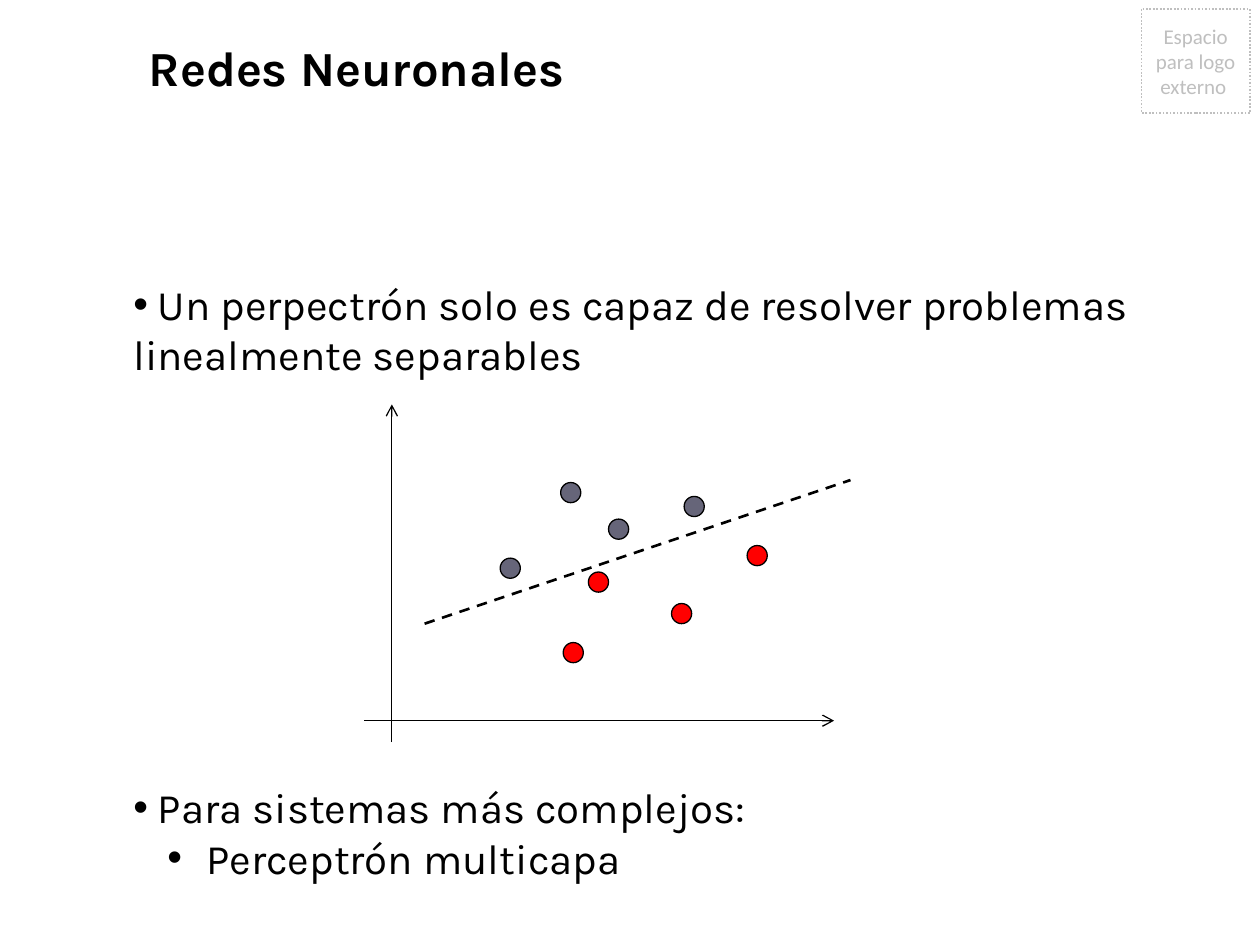
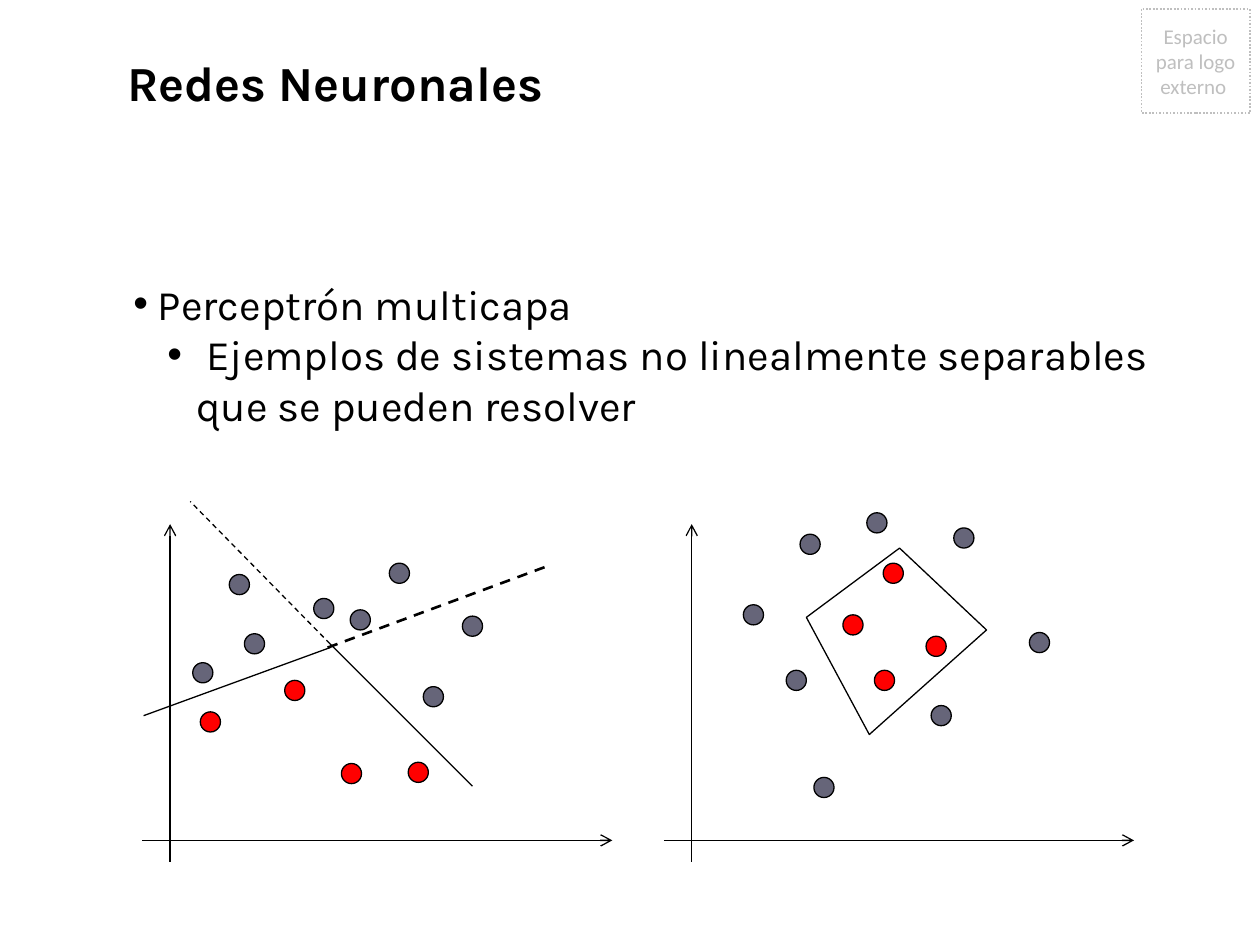
"""Build two slides on perceptrons and linear separability."""
from dataclasses import dataclass, field
from typing import NamedTuple

from lxml.etree import SubElement
from pptx import Presentation
from pptx.dml.color import RGBColor
from pptx.enum.dml import MSO_LINE
from pptx.enum.shapes import MSO_CONNECTOR, MSO_SHAPE
from pptx.enum.text import MSO_ANCHOR, MSO_AUTO_SIZE, PP_ALIGN
from pptx.oxml.ns import qn
from pptx.util import Inches, Pt


@dataclass(frozen=True)
class Theme:
    ink: RGBColor = RGBColor(0, 0, 0)
    muted: RGBColor = RGBColor(0xBF, 0xBF, 0xBF)
    class_a: RGBColor = RGBColor(0x66, 0x65, 0x79)
    class_b: RGBColor = RGBColor(0xFF, 0, 0)
    font: str = "Karla"
    logo_font: str = "Calibri"
    title_size: float = 28
    body_size: float = 24
    logo_size: float = 12
    thin: float = 0.75
    thick: float = 1.5


THEME = Theme()
DOT_SIZE = 0.16
TITLE_ONLY = 5


class Point(NamedTuple):
    x: float
    y: float


class Boundary(NamedTuple):
    start: Point
    end: Point
    dashed: bool = False
    width: float = THEME.thin


class Bullet(NamedTuple):
    text: str
    level: int = 0
    space_before: float = 0


@dataclass(frozen=True)
class Plot:
    origin: Point
    class_a: list[Point]
    class_b: list[Point]
    boundaries: list[Boundary] = field(default_factory=list)
    region: list[Point] = field(default_factory=list)


@dataclass(frozen=True)
class Topic:
    title_at: Point
    body_height: float
    bullets: list[Bullet]
    plots: list[Plot]


def points(*pairs: tuple[float, float]) -> list[Point]:
    """Turn coordinate pairs into points."""
    return [Point(*pair) for pair in pairs]


TOPICS = [
    Topic(
        Point(1.08, 0.25), 4.89,
        [Bullet(" Un perpectrón solo es capaz de resolver problemas linealmente separables"),
         Bullet(" Para sistemas más complejos:", space_before=230),
         Bullet(" Perceptrón multicapa", level=1)],
        [Plot(
            Point(3.11, 5.72),
            points((5.43, 3.94), (4.45, 3.83), (3.97, 4.43), (4.83, 4.12)),
            points((5.93, 4.33), (4.67, 4.54), (4.47, 5.1), (5.33, 4.79)),
            [Boundary(Point(3.37, 4.95), Point(6.75, 3.81), True, THEME.thick)])]),
    Topic(
        Point(0.91, 0.37), 1.3,
        [Bullet(" Perceptrón multicapa"),
         Bullet(" Ejemplos de sistemas no linealmente separables que se pueden resolver", level=1)],
        [Plot(
            Point(1.35, 6.67),
            points((3.67, 4.89), (1.82, 4.56), (1.94, 5.03), (3.09, 4.47),
                   (2.78, 4.84), (1.53, 5.26), (2.49, 4.75), (3.36, 5.45)),
            points((2.26, 5.4), (1.59, 5.65), (2.71, 6.06), (3.24, 6.05)),
            [Boundary(Point(2.6, 5.14), Point(4.38, 4.48), True, THEME.thick),
             Boundary(Point(2.62, 5.11), Point(1.51, 3.98), True),
             Boundary(Point(2.62, 5.11), Point(3.75, 6.24)),
             Boundary(Point(2.62, 5.14), Point(1.14, 5.68))]),
         Plot(
            Point(5.49, 6.67),
            points((7.57, 4.19), (6.88, 4.07), (6.24, 5.32), (8.17, 5.02),
                   (6.35, 4.24), (5.9, 4.8), (6.46, 6.17), (7.39, 5.6)),
            points((7.01, 4.47), (6.94, 5.32), (6.69, 4.88), (7.35, 5.05)),
            region=points((6.4, 4.9), (7.14, 4.35), (7.83, 5), (6.9, 5.83)))]),
]


def write(paragraph, text: str, *, size: float, font: str = THEME.font,
          color: RGBColor = THEME.ink, bold: bool = False, align=PP_ALIGN.LEFT,
          bullet_level: int | None = None, space_before: float = 0) -> None:
    """Fill a paragraph with formatted text and an optional bullet."""
    if bullet_level is not None:
        properties = paragraph._p.get_or_add_pPr()
        properties.set("lvl", str(bullet_level))
        properties.set("marL", str(Inches(0.5 * bullet_level)))
        properties.set("indent", str(Inches(-0.23 * bullet_level)))
        SubElement(properties, qn("a:buFont"), typeface="Arial")
        SubElement(properties, qn("a:buChar"), char="•")
    paragraph.alignment = align
    if space_before:
        paragraph.space_before = Pt(space_before)
    run = paragraph.add_run()
    run.text = text
    run.font.size = Pt(size)
    run.font.name = font
    run.font.bold = bold
    run.font.color.rgb = color


def outline(shape, color: RGBColor = THEME.ink, width: float = THEME.thin) -> None:
    """Give a shape a plain outline."""
    shape.line.color.rgb = color
    shape.line.width = Pt(width)


def draw_logo_space(slide) -> None:
    """Draw the dotted space reserved at the top right."""
    space = slide.shapes.add_shape(
        MSO_SHAPE.RECTANGLE, Inches(9.06), Inches(0.07), Inches(0.86), Inches(0.83))
    space.shadow.inherit = False
    space.fill.background()
    outline(space, THEME.muted, 1)
    space.line.dash_style = MSO_LINE.ROUND_DOT
    space.text_frame.word_wrap = True
    space.text_frame.vertical_anchor = MSO_ANCHOR.MIDDLE
    write(space.text_frame.paragraphs[0], "Espacio para logo externo ", size=THEME.logo_size,
          font=THEME.logo_font, color=THEME.muted, align=PP_ALIGN.CENTER)


def draw_title(slide, at: Point) -> None:
    """Place and fill the title."""
    title = slide.shapes.title
    title.left, title.top = Inches(at.x), Inches(at.y)
    title.width, title.height = Inches(3.76), Inches(0.57)
    frame = title.text_frame
    frame.word_wrap = False
    frame.auto_size = MSO_AUTO_SIZE.NONE
    frame.vertical_anchor = MSO_ANCHOR.TOP
    write(frame.paragraphs[0], "Redes Neuronales", size=THEME.title_size, bold=True)


def draw_body(slide, bullets: list[Bullet], height: float) -> None:
    """Write the bullets in the body area."""
    body = slide.shapes.add_textbox(Inches(0.96), Inches(2.16), Inches(8.82), Inches(height))
    frame = body.text_frame
    frame.word_wrap = True
    for index, bullet in enumerate(bullets):
        paragraph = frame.add_paragraph() if index else frame.paragraphs[0]
        write(paragraph, bullet.text, size=THEME.body_size, bullet_level=bullet.level,
              space_before=bullet.space_before)


def draw_line(shapes, line: Boundary, arrow: bool = False) -> None:
    """Draw a straight line, optionally dashed or with an arrowhead."""
    connector = shapes.add_connector(
        MSO_CONNECTOR.STRAIGHT, *(Inches(value) for value in (*line.start, *line.end)))
    outline(connector, width=line.width)
    if line.dashed:
        connector.line.dash_style = MSO_LINE.DASH
    if arrow:
        SubElement(connector.line._get_or_add_ln(), qn("a:tailEnd"), type="arrow")
    SubElement(connector._element.spPr, qn("a:effectLst"))


def draw_dots(shapes, dots: list[Point], color: RGBColor) -> None:
    """Draw the samples of one class."""
    for at in dots:
        dot = shapes.add_shape(MSO_SHAPE.OVAL, Inches(at.x), Inches(at.y),
                               Inches(DOT_SIZE), Inches(DOT_SIZE))
        dot.shadow.inherit = False
        dot.fill.solid()
        dot.fill.fore_color.rgb = color
        outline(dot)


def draw_region(shapes, corners: list[Point]) -> None:
    """Draw the closed outline around one class."""
    first, *rest = [(Inches(x), Inches(y)) for x, y in corners]
    builder = shapes.build_freeform(*first)
    builder.add_line_segments(rest, close=True)
    region = builder.convert_to_shape()
    region.shadow.inherit = False
    region.fill.background()
    outline(region)


def draw_plot(slide, plot: Plot) -> None:
    """Draw axes, boundaries and samples as one group."""
    shapes = slide.shapes.add_group_shape().shapes
    x, y = plot.origin
    draw_line(shapes, Boundary(Point(x, y + 0.17), Point(x, y - 2.51)), arrow=True)
    draw_line(shapes, Boundary(Point(x - 0.22, y), Point(x + 3.51, y)), arrow=True)
    for boundary in plot.boundaries:
        draw_line(shapes, boundary)
    draw_dots(shapes, plot.class_a, THEME.class_a)
    draw_dots(shapes, plot.class_b, THEME.class_b)
    if plot.region:
        draw_region(shapes, plot.region)


def main() -> None:
    """Build and save the presentation."""
    deck = Presentation()
    deck.slide_width, deck.slide_height = Inches(10), Inches(7.5)
    for topic in TOPICS:
        slide = deck.slides.add_slide(deck.slide_layouts[TITLE_ONLY])
        draw_logo_space(slide)
        draw_title(slide, topic.title_at)
        draw_body(slide, topic.bullets, topic.body_height)
        for plot in topic.plots:
            draw_plot(slide, plot)
    deck.save("out.pptx")


if __name__ == "__main__":
    main()
